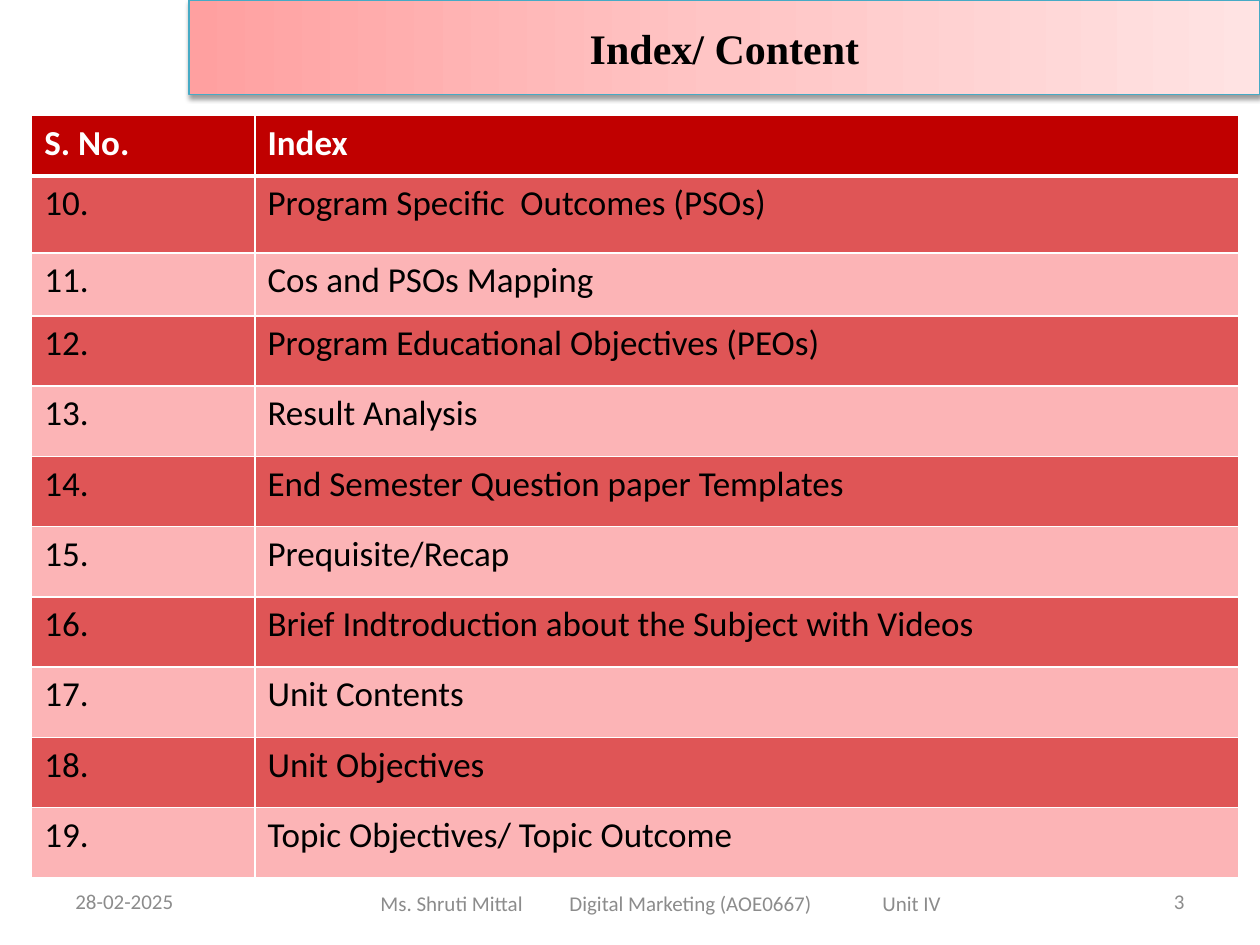
from copy import deepcopy

from lxml import etree
from pptx import Presentation
from pptx.dml.color import RGBColor
from pptx.enum.text import MSO_ANCHOR, MSO_AUTO_SIZE, PP_ALIGN
from pptx.oxml.ns import qn
from pptx.util import Cm, Pt

LEFT, CENTER, RIGHT = PP_ALIGN.LEFT, PP_ALIGN.CENTER, PP_ALIGN.RIGHT
MIDDLE = MSO_ANCHOR.MIDDLE
NO_AUTOFIT = MSO_AUTO_SIZE.NONE

BLACK = RGBColor(0x00, 0x00, 0x00)
WHITE = RGBColor(0xFF, 0xFF, 0xFF)
GREY = RGBColor(0x8C, 0x8C, 0x8C)
TEAL = RGBColor(0x46, 0xAA, 0xC5)
HEADER_RED = RGBColor(0xC0, 0x00, 0x00)
BAND_DARK = RGBColor(0xDF, 0x55, 0x56)
BAND_LIGHT = RGBColor(0xFC, 0xB4, 0xB6)
TITLE_GRADIENT = [
    (0, RGBColor(0xFF, 0xA0, 0xA0)),
    (0.5, RGBColor(0xFF, 0xC5, 0xC5)),
    (1, RGBColor(0xFF, 0xE3, 0xE3)),
]

FIRST_NUMBER = 10
TOPICS = [
    "Program Specific  Outcomes (PSOs)",
    "Cos and PSOs Mapping",
    "Program Educational Objectives (PEOs)",
    "Result Analysis",
    "End Semester Question paper Templates",
    "Prequisite/Recap",
    "Brief Indtroduction about the Subject with Videos",
    "Unit Contents",
    "Unit Objectives",
    "Topic Objectives/ Topic Outcome",
]


def write_text(text_frame, text, size=12, color=BLACK, name="Calibri",
               bold=False, align=LEFT, tabs=()):
    paragraph = text_frame.paragraphs[0]
    paragraph.text = text
    paragraph.alignment = align
    if tabs:
        properties = paragraph._p.get_or_add_pPr()
        tab_list = etree.SubElement(properties, qn("a:tabLst"))
        for position in tabs:
            etree.SubElement(tab_list, qn("a:tab"), pos=str(position), algn="l")
    for run in paragraph.runs:
        run.font.size = Pt(size)
        run.font.name = name
        run.font.bold = bold
        run.font.color.rgb = color


def fill_gradient(shape, stops):
    shape.fill.gradient()
    shape.fill.gradient_angle = 0
    stop_list = shape._element.spPr.find(qn("a:gradFill")).find(qn("a:gsLst"))
    while len(stop_list) < len(stops):
        stop_list.append(deepcopy(stop_list[0]))
    for stop, (position, color) in zip(shape.fill.gradient_stops, stops):
        stop.position = position
        stop.color.rgb = color


def add_soft_shadow(shape):
    shape.shadow.inherit = False
    effects = shape._element.spPr.find(qn("a:effectLst"))
    shadow = etree.SubElement(
        effects, qn("a:outerShdw"), blurRad=str(Pt(3.1)), dist=str(Pt(1.6)),
        dir="5400000", rotWithShape="0")
    color = etree.SubElement(shadow, qn("a:srgbClr"), val=str(BLACK))
    etree.SubElement(color, qn("a:alpha"), val="38000")


def add_title(slide, left, top, width, height):
    title = slide.shapes.title
    title.left, title.top, title.width, title.height = left, top, width, height
    fill_gradient(title, TITLE_GRADIENT)
    title.line.color.rgb = TEAL
    title.line.width = Pt(0.75)
    add_soft_shadow(title)
    title.text_frame.auto_size = NO_AUTOFIT
    title.text_frame.vertical_anchor = MIDDLE
    write_text(title.text_frame, "Index/ Content", size=24,
               name="Times New Roman", bold=True, align=CENTER)


def set_borders(cell, bottom_width):
    properties = cell._tc.get_or_add_tcPr()
    for side, width in (("L", 1), ("R", 1), ("T", 1), ("B", bottom_width)):
        line = etree.SubElement(properties, qn(f"a:ln{side}"), w=str(Pt(width)))
        fill = etree.SubElement(line, qn("a:solidFill"))
        etree.SubElement(fill, qn("a:srgbClr"), val=str(WHITE))


def add_index_table(slide, left, top, width, height):
    rows = [("S. No.", "Index")]
    rows += [(f"{number}.", topic)
             for number, topic in enumerate(TOPICS, FIRST_NUMBER)]
    table = slide.shapes.add_table(len(rows), 2, left, top, width, height).table

    number_width = Cm(4.5)
    table.columns[0].width = number_width
    table.columns[1].width = width - number_width
    first_heights = [Cm(1.22), Cm(1.55), Cm(1.27)]
    other_height = (height - sum(first_heights)) // (len(rows) - len(first_heights))

    for index, texts in enumerate(rows):
        is_header = index == 0
        if is_header:
            background = HEADER_RED
        else:
            background = BAND_DARK if index % 2 else BAND_LIGHT
        table.rows[index].height = (
            first_heights[index] if index < len(first_heights) else other_height)
        for cell, text in zip(table.rows[index].cells, texts):
            set_borders(cell, bottom_width=3 if is_header else 1)
            cell.fill.solid()
            cell.fill.fore_color.rgb = background
            write_text(cell.text_frame, text, size=20, bold=is_header,
                       color=WHITE if is_header else BLACK)


def add_footer_text(slide, text, left, top, width, height, indent=Cm(0.25),
                    **text_format):
    text_frame = slide.shapes.add_textbox(left, top, width, height).text_frame
    text_frame.word_wrap = True
    text_frame.vertical_anchor = MIDDLE
    text_frame.margin_left = indent
    write_text(text_frame, text, color=GREY, **text_format)


def add_footer(slide, left, top, width, height):
    side_width = Cm(5.92)
    add_footer_text(slide, "28-02-2025", left, top, side_width, height)
    add_footer_text(
        slide, "Ms. Shruti Mittal\tDigital Marketing (AOE0667)\tUnit IV",
        left + Cm(5.08), top + Cm(0.05), Cm(13.97), height,
        indent=Cm(1.32), tabs=(Cm(3.81), Cm(10.12)))
    add_footer_text(slide, "3", left + width - side_width, top, side_width,
                    height, align=RIGHT)


def main():
    presentation = Presentation()
    presentation.slide_width = Cm(25.4)
    presentation.slide_height = Cm(19.05)
    title_only = presentation.slide_layouts[5]
    slide = presentation.slides.add_slide(title_only)
    add_title(slide, Cm(3.81), Cm(0), Cm(21.59), Cm(1.91))
    add_index_table(slide, Cm(0.64), Cm(2.33), Cm(24.33), Cm(15.37))
    add_footer(slide, Cm(1.27), Cm(17.66), Cm(22.86), Cm(1.01))
    presentation.save("out.pptx")


if __name__ == "__main__":
    main()
